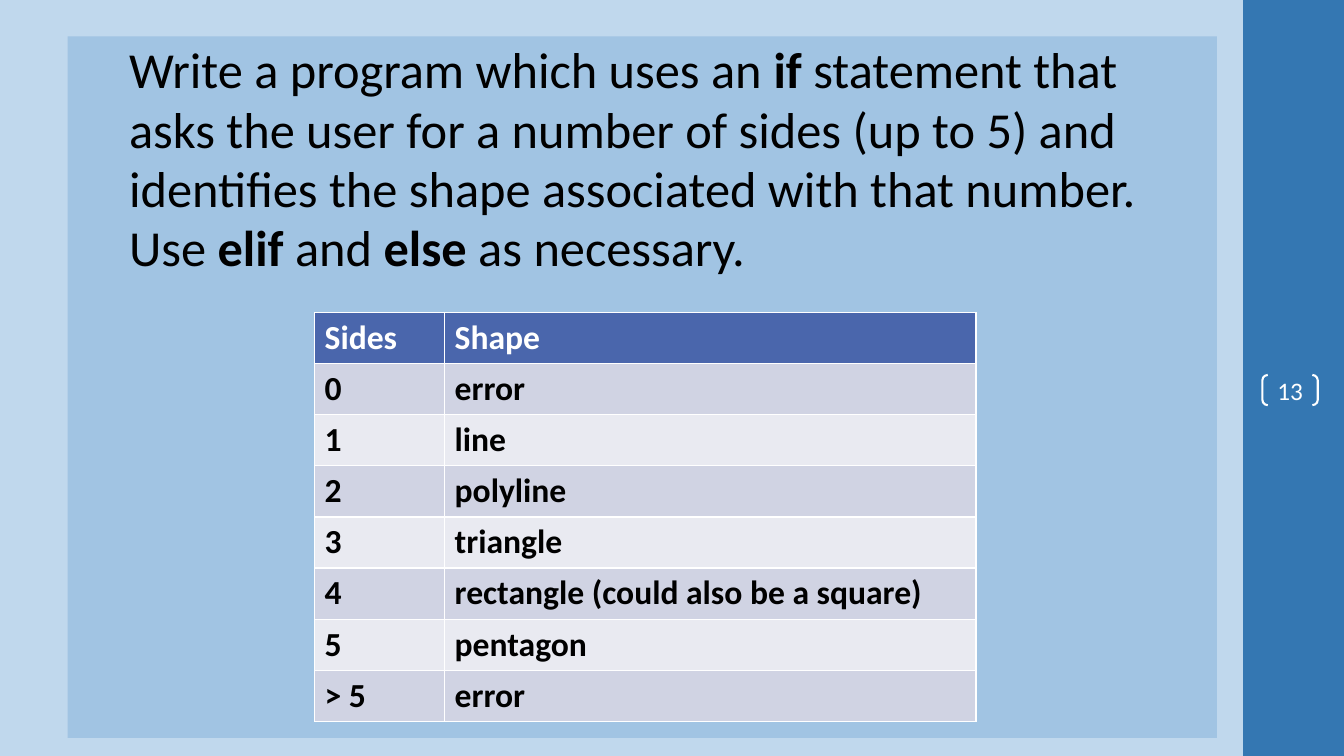
from pptx import Presentation
from pptx.dml.color import RGBColor
from pptx.enum.shapes import MSO_SHAPE as Shape
from pptx.enum.text import MSO_ANCHOR as Anchor, MSO_AUTO_SIZE as Fit, PP_ALIGN as Align
from pptx.oxml.ns import qn
from pptx.util import Inches, Pt
from lxml.etree import SubElement

PALE = RGBColor(0xC0, 0xD8, 0xED)
BAR = RGBColor(0x34, 0x77, 0xB2)
PANEL = RGBColor(0xA1, 0xC4, 0xE3)
HEAD = RGBColor(0x4A, 0x66, 0xAC)
BANDS = RGBColor(0xD0, 0xD3, 0xE3), RGBColor(0xE9, 0xEA, 0xF1)
WHITE = RGBColor(0xFF, 0xFF, 0xFF)
BLACK = RGBColor(0, 0, 0)

TASK = [
    ("Write a program which uses an ", False),
    ("if", True),
    (" statement that asks the user for a number of sides (up to 5) and "
     "identifies the shape associated with that number. Use ", False),
    ("elif", True),
    (" and ", False),
    ("else", True),
    (" as necessary.", False),
]
ROWS = [
    ("Sides", "Shape"),
    ("0", "error"),
    ("1", "line"),
    ("2", "polyline"),
    ("3", "triangle"),
    ("4", "rectangle (could also be a square)"),
    ("5", "pentagon"),
    ("> 5", "error"),
]


class Page:
    face = "Calibri"

    def __init__(self, deck):
        self.slide = deck.slides.add_slide(deck.slide_layouts[1])
        self.shapes = self.slide.shapes
        self.paint(self.slide.background, PALE)
        title = self.shapes.title.element
        title.getparent().remove(title)

    def paint(self, item, color):
        item.fill.solid()
        item.fill.fore_color.rgb = color

    def style(self, para, size, color, bold=None):
        font = para.font
        font.name, font.size, font.bold = self.face, Pt(size), bold
        font.color.rgb = color

    def bar(self, *box):
        bar = self.shapes.add_shape(Shape.RECTANGLE, *map(Inches, box))
        bar.shadow.inherit = False
        self.paint(bar, BAR)
        bar.line.fill.background()

    def body(self, runs, *box):
        body = self.slide.placeholders[1]
        body.left, body.top, body.width, body.height = map(Inches, box)
        self.paint(body, PANEL)
        frame = body.text_frame
        frame.auto_size = Fit.NONE
        para = frame.paragraphs[0]
        for text, bold in runs:
            run = para.add_run()
            run.text = text
            run.font.bold = bold
        para.line_spacing = 0.98
        self.style(para, 36, BLACK)
        props = para._p.get_or_add_pPr()
        props.set("marL", str(Inches(0.51)))
        props.set("indent", "0")
        props.insert_element_before(
            props.makeelement(qn("a:buNone")), "a:tabLst", "a:defRPr", "a:extLst")

    def number(self, text, *box):
        mark = self.shapes.add_shape(Shape.DOUBLE_BRACKET, *map(Inches, box))
        mark.shadow.inherit = False
        mark.adjustments[0] = 0.18
        mark.fill.background()
        mark.line.color.rgb = WHITE
        mark.line.width = Pt(1.5)
        frame = mark.text_frame
        frame.margin_left = frame.margin_right = 0
        frame.margin_top = frame.margin_bottom = 0
        frame.vertical_anchor = Anchor.MIDDLE
        para = frame.paragraphs[0]
        para.text = text
        para.alignment = Align.CENTER
        self.style(para, 18, WHITE)

    def edge(self, cell):
        props = cell._tc.get_or_add_tcPr()
        for spot, side in enumerate(("lnL", "lnR", "lnT", "lnB")):
            line = props.makeelement(qn("a:" + side), {"w": str(Pt(1))})
            fill = SubElement(line, qn("a:solidFill"))
            SubElement(fill, qn("a:srgbClr"), val=str(WHITE))
            props.insert(spot, line)

    def table(self, rows, left, top, widths, height):
        box = left, top, sum(widths), height * len(rows)
        grid = self.shapes.add_table(len(rows), len(widths), *map(Inches, box)).table
        for col, width in zip(grid.columns, widths):
            col.width = Inches(width)
        for r, texts in enumerate(rows):
            grid.rows[r].height = Inches(height)
            for c, text in enumerate(texts):
                cell = grid.cell(r, c)
                cell.text = text
                self.paint(cell, BANDS[(r - 1) % 2] if r else HEAD)
                self.style(cell.text_frame.paragraphs[0], 24, BLACK if r else WHITE, True)
                self.edge(cell)


deck = Presentation()
deck.slide_width, deck.slide_height = Inches(13.33), Inches(7.5)
page = Page(deck)
page.bar(12.33, 0, 1, 7.5)
page.body(TASK, 0.67, 0.36, 11.4, 6.96)
page.number("13", 12.52, 3.72, 0.55, 0.3)
page.table(ROWS, 3.12, 3.1, (1.29, 5.27), 0.5)
deck.save("out.pptx")
